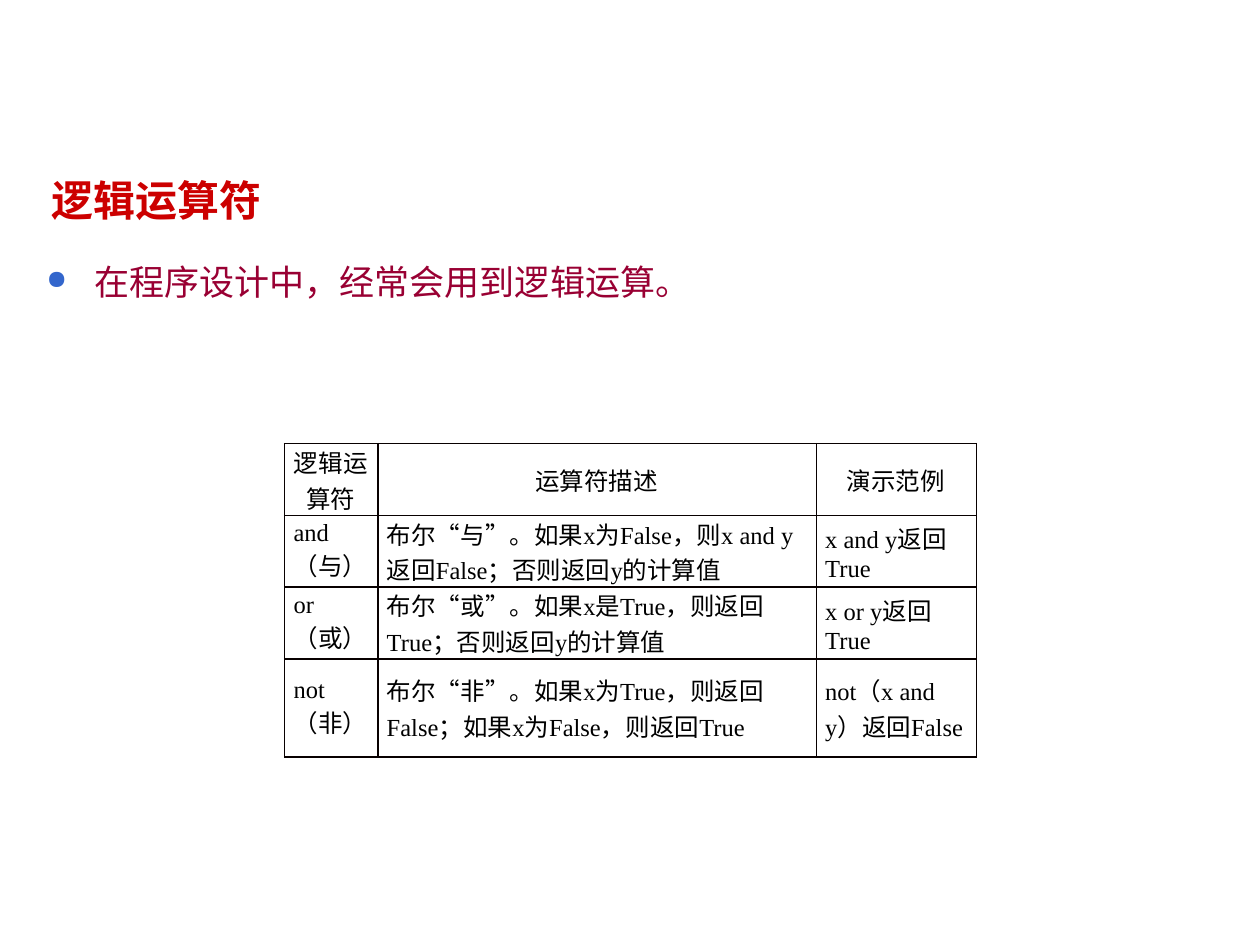
import pptx
import pptx.util
import pptx.oxml
import pptx.oxml.ns
from pptx.dml.color import RGBColor
from pptx.enum.text import MSO_ANCHOR, PP_ALIGN
from pptx.util import Inches, Pt

WHITE = RGBColor(0xFF, 0xFF, 0xFF)
BLACK = RGBColor(0x00, 0x00, 0x00)
RED = RGBColor(0xCC, 0x00, 0x00)
CRIMSON = RGBColor(0x99, 0x00, 0x33)
BULLET_BLUE = RGBColor(0x33, 0x66, 0xCC)
BORDER = RGBColor(0x08, 0x00, 0x00)
SERIF, CJK = "Times New Roman", "Noto Sans CJK SC"
NAMESPACE = pptx.oxml.ns.nsdecls("a")


def add_span(para, text, color, **formats):
    span = para.add_run()
    span.text = text
    span.font.color.rgb = color
    for name, value in formats.items():
        setattr(span.font, name, value)
    span.font._element.append(
        pptx.oxml.parse_xml(f'<a:ea {NAMESPACE} typeface="{CJK}"/>'))


def add_panel(slide, left, top, width, height, anchor):
    """Add a white text box and return its first paragraph."""
    box = slide.shapes.add_textbox(
        Inches(left), Inches(top), Inches(width), Inches(height))
    box.fill.solid()
    box.fill.fore_color.rgb = WHITE
    box.text_frame.word_wrap = True
    box.text_frame.vertical_anchor = anchor
    return box.text_frame.paragraphs[0]


deck = pptx.Presentation()
deck.slide_width, deck.slide_height = Inches(10), Inches(7.5)
slide = deck.slides.add_slide(deck.slide_layouts[6])

title = add_panel(slide, 0.31, 1.15, 9.49, 0.87, MSO_ANCHOR.MIDDLE)
add_span(title, "逻辑运算符", RED, name="Arial", size=Pt(24), bold=True)

body = add_panel(slide, 0.27, 2.02, 9.49, 4.8, MSO_ANCHOR.TOP)
properties = body._p.get_or_add_pPr()
properties.set("marL", str(Inches(0.38)))
properties.set("indent", str(-Inches(0.38)))
for bullet in (f'<a:buClr {NAMESPACE}><a:srgbClr val="{BULLET_BLUE}"/></a:buClr>',
               f'<a:buSzPct {NAMESPACE} val="75000"/>',
               f'<a:buChar {NAMESPACE} char="●"/>'):
    properties.append(pptx.oxml.parse_xml(bullet))
add_span(body, "在程序设计中，经常会用到逻辑运算。", CRIMSON, name="Arial", size=Pt(20))

# Each bar switches between the serif and the CJK font, starting with serif.
ROWS = [
    ["|逻辑|运算符", "|运算|符描述", "|演示范例"],
    ["and|（与）",
     "布尔|“|与|”。|如果x为False|，则|x and y返回False|；|否则返回y的计算值",
     "x and y返回True"],
    ["or|（或）",
     "布尔|“|或|”。|如果x是True，|则|返回True|；|否则返回y的计算值",
     "x or y返回True"],
    ["not|（非）",
     "布尔|“|非|”。|如果x为True，|则|返回False|；|如果x为False，|则|返回True",
     "not|（|x and y|）|返回False"],
]
COLUMN_WIDTHS = [0.74, 3.48, 1.27]
ROW_HEIGHTS = [0.57, 0.57, 0.57, 0.78]
CELL_FORMAT = {
    "vertical_anchor": MSO_ANCHOR.MIDDLE,
    "margin_left": Inches(0.07), "margin_right": Inches(0.08),
    "margin_top": 0, "margin_bottom": 0,
}

table = slide.shapes.add_table(
    len(ROWS), len(COLUMN_WIDTHS), Inches(2.26), Inches(3.52),
    Inches(sum(COLUMN_WIDTHS)), Inches(sum(ROW_HEIGHTS))).table
for column, width in zip(table.columns, COLUMN_WIDTHS):
    column.width = Inches(width)

for row_index, texts in enumerate(ROWS):
    table.rows[row_index].height = Inches(ROW_HEIGHTS[row_index])
    for column_index, text in enumerate(texts):
        cell = table.cell(row_index, column_index)
        for name, value in CELL_FORMAT.items():
            setattr(cell, name, value)
        cell_properties = cell._tc.get_or_add_tcPr()
        for side in ("lnL", "lnR", "lnT", "lnB"):
            cell_properties.append(pptx.oxml.parse_xml(
                f'<a:{side} {NAMESPACE} w="{Pt(1)}"><a:solidFill>'
                f'<a:srgbClr val="{BORDER}"/></a:solidFill></a:{side}>'))
        cell.fill.background()
        para = cell.text_frame.paragraphs[0]
        para.alignment = PP_ALIGN.CENTER if row_index == 0 else PP_ALIGN.LEFT
        for index, piece in enumerate(text.split("|")):
            if piece:
                add_span(para, piece, BLACK, name=CJK if index % 2 else SERIF,
                         size=Pt(14), bold=False)

deck.save("out.pptx")
